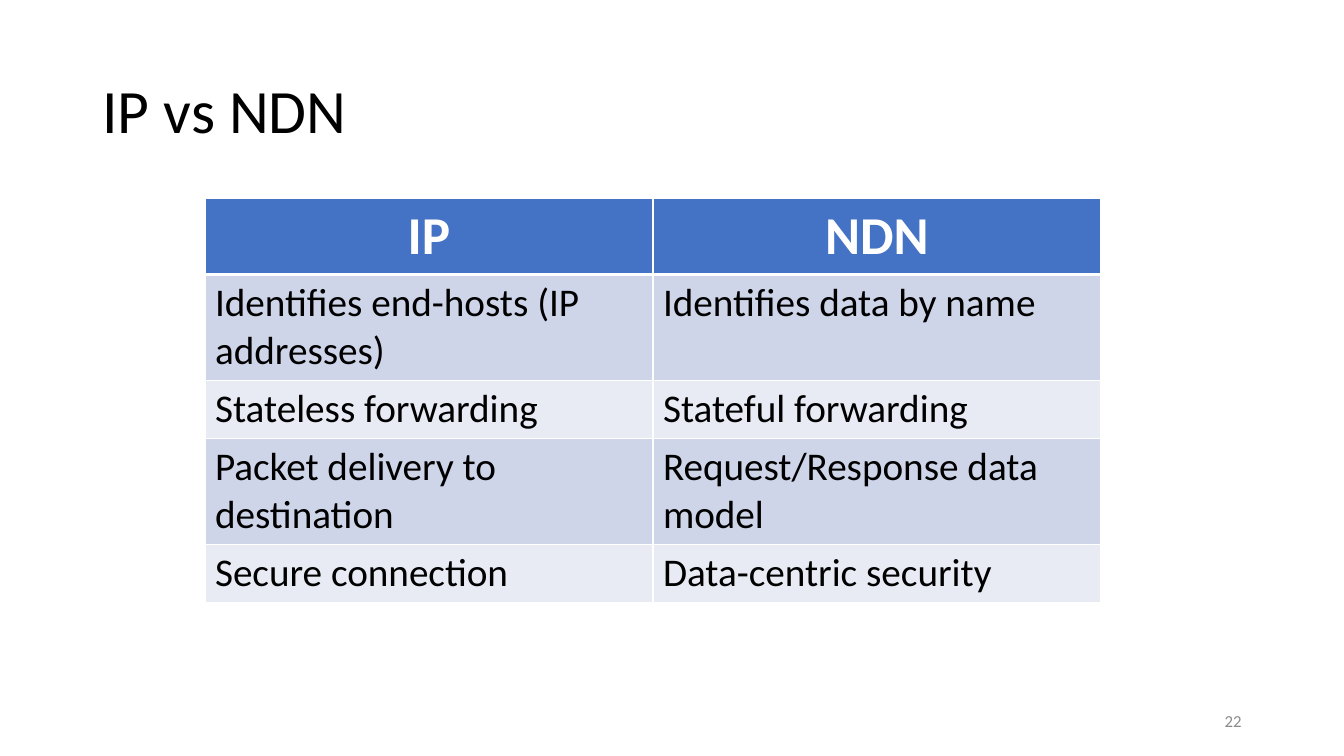
"""Build the slide that compares IP with NDN in a two-column table."""
from lxml import etree
from pptx import Presentation
from pptx.dml.color import RGBColor
from pptx.enum.text import MSO_ANCHOR, PP_ALIGN
from pptx.oxml.ns import qn
from pptx.util import Pt

LEFT, CENTER, RIGHT = PP_ALIGN.LEFT, PP_ALIGN.CENTER, PP_ALIGN.RIGHT
MIDDLE = MSO_ANCHOR.MIDDLE
BLANK_LAYOUT = 6
COLORS = {
    "text": "000000",
    "muted": "8B8B8B",
    "white": "FFFFFF",
    "header": "4472C4",
    "odd_row": "CFD5E9",
    "even_row": "E8EBF4",
}
ROWS = [
    ("IP", "NDN"),
    ("Identifies end-hosts (IP addresses)", "Identifies data by name"),
    ("Stateless forwarding", "Stateful forwarding"),
    ("Packet delivery to destination", "Request/Response data model"),
    ("Secure connection", "Data-centric security"),
]
ROW_HEIGHTS = [54, 75.6, 41.6, 75.6, 41.6]


class SlideBuilder:
    font_name = "Calibri"
    thin_line = 0.96
    thick_line = 3

    def __init__(self, slide):
        self.slide = slide

    def style_text(self, text_frame, text, size, color, align=LEFT, bold=False):
        text_frame.text = text
        paragraph = text_frame.paragraphs[0]
        paragraph.alignment = align
        for run in paragraph.runs:
            run.font.name = self.font_name
            run.font.size = Pt(size)
            run.font.bold = bold
            run.font.color.rgb = RGBColor.from_string(COLORS[color])
        return paragraph

    def text_box(self, left, top, width, height, text, size, color, align=LEFT):
        shape = self.slide.shapes.add_textbox(Pt(left), Pt(top), Pt(width), Pt(height))
        text_frame = shape.text_frame
        text_frame.word_wrap = True
        text_frame.vertical_anchor = MIDDLE
        return self.style_text(text_frame, text, size, color, align)

    def cell_borders(self, cell, top, bottom):
        properties = cell._tc.get_or_add_tcPr()
        widths = {"lnL": self.thin_line, "lnR": self.thin_line, "lnT": top, "lnB": bottom}
        for name, width in widths.items():
            line = etree.SubElement(properties, qn(f"a:{name}"), w=str(int(Pt(width))))
            fill = etree.SubElement(line, qn("a:solidFill"))
            etree.SubElement(fill, qn("a:srgbClr"), val=COLORS["white"])

    def table(self, left, top, width, rows, heights):
        frame = self.slide.shapes.add_table(
            len(rows), len(rows[0]), Pt(left), Pt(top), Pt(width), Pt(sum(heights))
        )
        table = frame.table
        for row_index, (texts, height) in enumerate(zip(rows, heights)):
            table.rows[row_index].height = Pt(height)
            is_header = row_index == 0
            band = "header" if is_header else "odd_row" if row_index % 2 else "even_row"
            top_line = self.thick_line if row_index == 1 else self.thin_line
            bottom_line = self.thick_line if is_header else self.thin_line
            for column_index, text in enumerate(texts):
                cell = table.cell(row_index, column_index)
                self.cell_borders(cell, top_line, bottom_line)
                cell.fill.solid()
                cell.fill.fore_color.rgb = RGBColor.from_string(COLORS[band])
                if is_header:
                    self.style_text(cell.text_frame, text, 38, "white", CENTER, True)
                else:
                    self.style_text(cell.text_frame, text, 28, "text")


def main():
    presentation = Presentation()
    presentation.slide_width = Pt(960)
    presentation.slide_height = Pt(540)
    slide = presentation.slides.add_slide(presentation.slide_layouts[BLANK_LAYOUT])
    builder = SlideBuilder(slide)
    title = builder.text_box(66, 28.75, 828, 104.4, "IP vs NDN", 44, "text")
    title.line_spacing = 0.9
    builder.table(146.4, 142, 640, ROWS, ROW_HEIGHTS)
    builder.text_box(678, 500.5, 216, 28.75, "22", 12, "muted", RIGHT)
    presentation.save("out.pptx")


if __name__ == "__main__":
    main()
